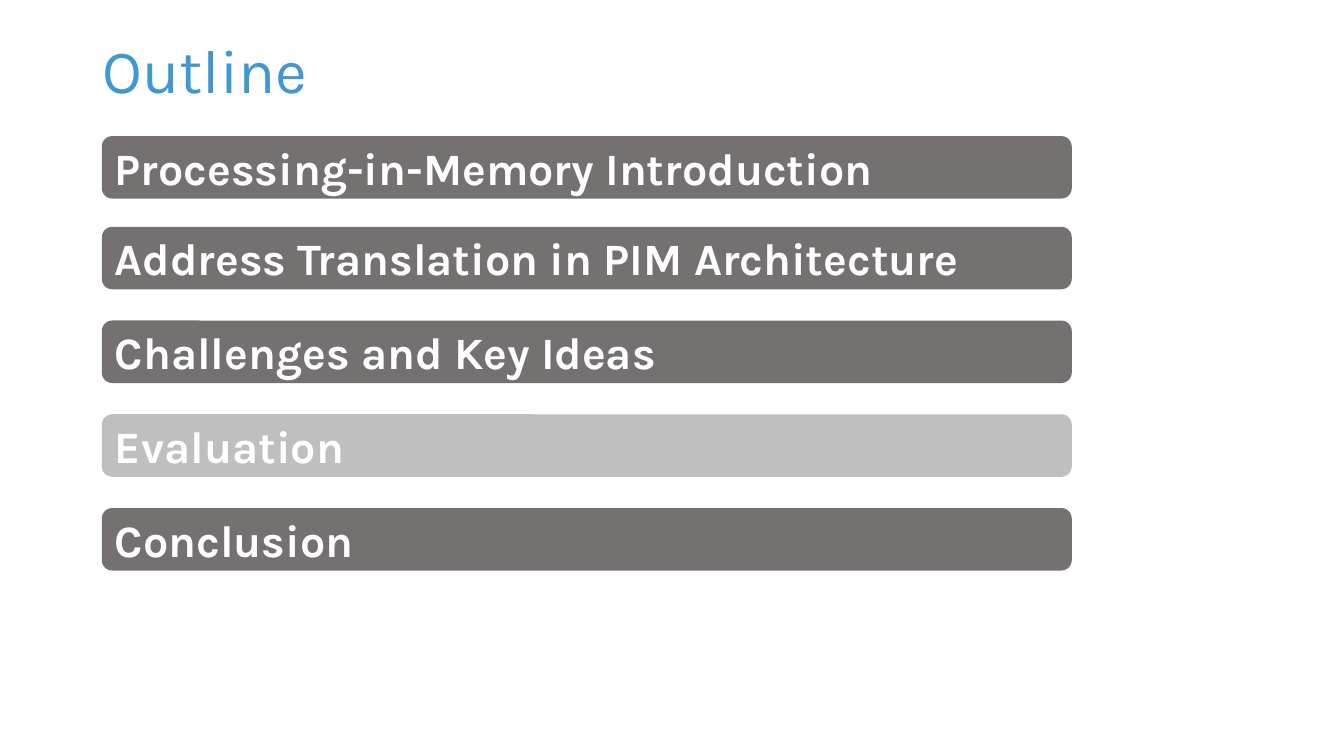
import pptx
import pptx.util
import pptx.dml.color
import pptx.enum.shapes
import pptx.enum.text

WIDTH, HEIGHT = 13.33, 7.5
FONT = "Karla"
BLUE, WHITE, GRAY, PALE = "3F97D3", "FFFFFF", "767171", "BFBFBF"

TITLE = "Outline"
TOPICS = [  # text, top in inches, fill
    ("Processing-in-Memory Introduction", 1.35, GRAY),
    ("Address Translation in PIM Architecture", 2.25, GRAY),
    ("Challenges and Key Ideas", 3.18, GRAY),
    ("Evaluation", 4.11, PALE),
    ("Conclusion", 5.04, GRAY),
]
BAR_LEFT, BAR_WIDTH, BAR_HEIGHT = 1.01, 9.62, 0.62


def color(code):
    return pptx.dml.color.RGBColor.from_string(code)


def inches(*sizes):
    return [pptx.util.Inches(size) for size in sizes]


def write(shape, text, size, ink, bold=False, spacing=1.0):
    frame = shape.text_frame
    frame.word_wrap = True
    frame.vertical_anchor = pptx.enum.text.MSO_ANCHOR.MIDDLE
    para = frame.paragraphs[0]
    para.alignment = pptx.enum.text.PP_ALIGN.LEFT
    para.line_spacing = spacing
    run = para.add_run()
    run.text = text
    run.font.name = FONT
    run.font.size = pptx.util.Pt(size)
    run.font.bold = bold
    run.font.color.rgb = color(ink)


def add_bar(slide, text, top, fill):
    bar = slide.shapes.add_shape(
        pptx.enum.shapes.MSO_SHAPE.ROUNDED_RECTANGLE,
        *inches(BAR_LEFT, top, BAR_WIDTH, BAR_HEIGHT))
    bar.shadow.inherit = False
    bar.fill.solid()
    bar.fill.fore_color.rgb = color(fill)
    bar.line.fill.background()
    write(bar, text, size=32, ink=WHITE, bold=True)


def main():
    deck = pptx.Presentation()
    deck.slide_width, deck.slide_height = inches(WIDTH, HEIGHT)
    slide = deck.slides.add_slide(deck.slide_layouts[6])
    title = slide.shapes.add_textbox(*inches(0.92, 0, 11.5, 1.45))
    write(title, TITLE, size=44, ink=BLUE, spacing=0.9)
    for text, top, fill in TOPICS:
        add_bar(slide, text, top, fill)
    deck.save("out.pptx")


if __name__ == "__main__":
    main()
